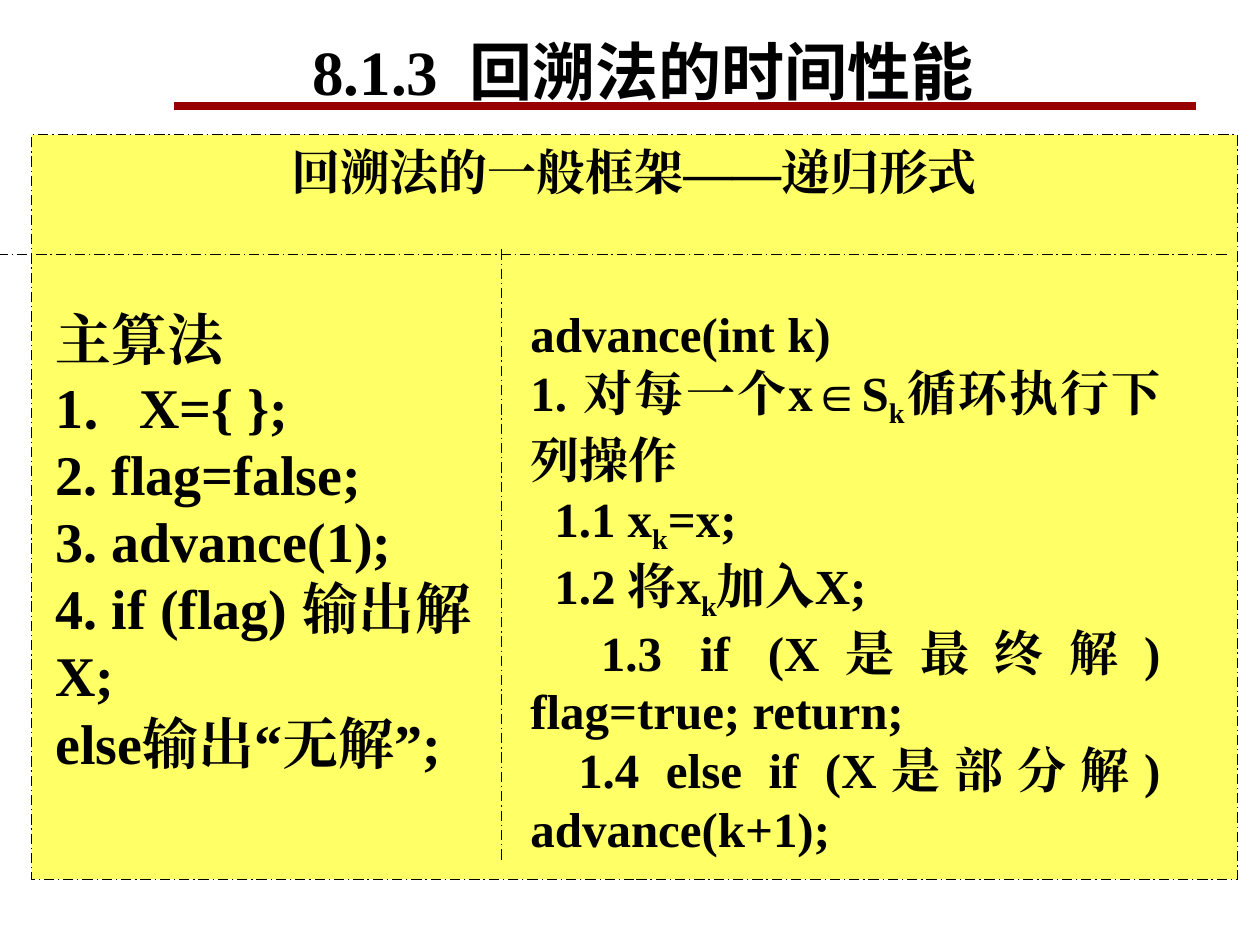
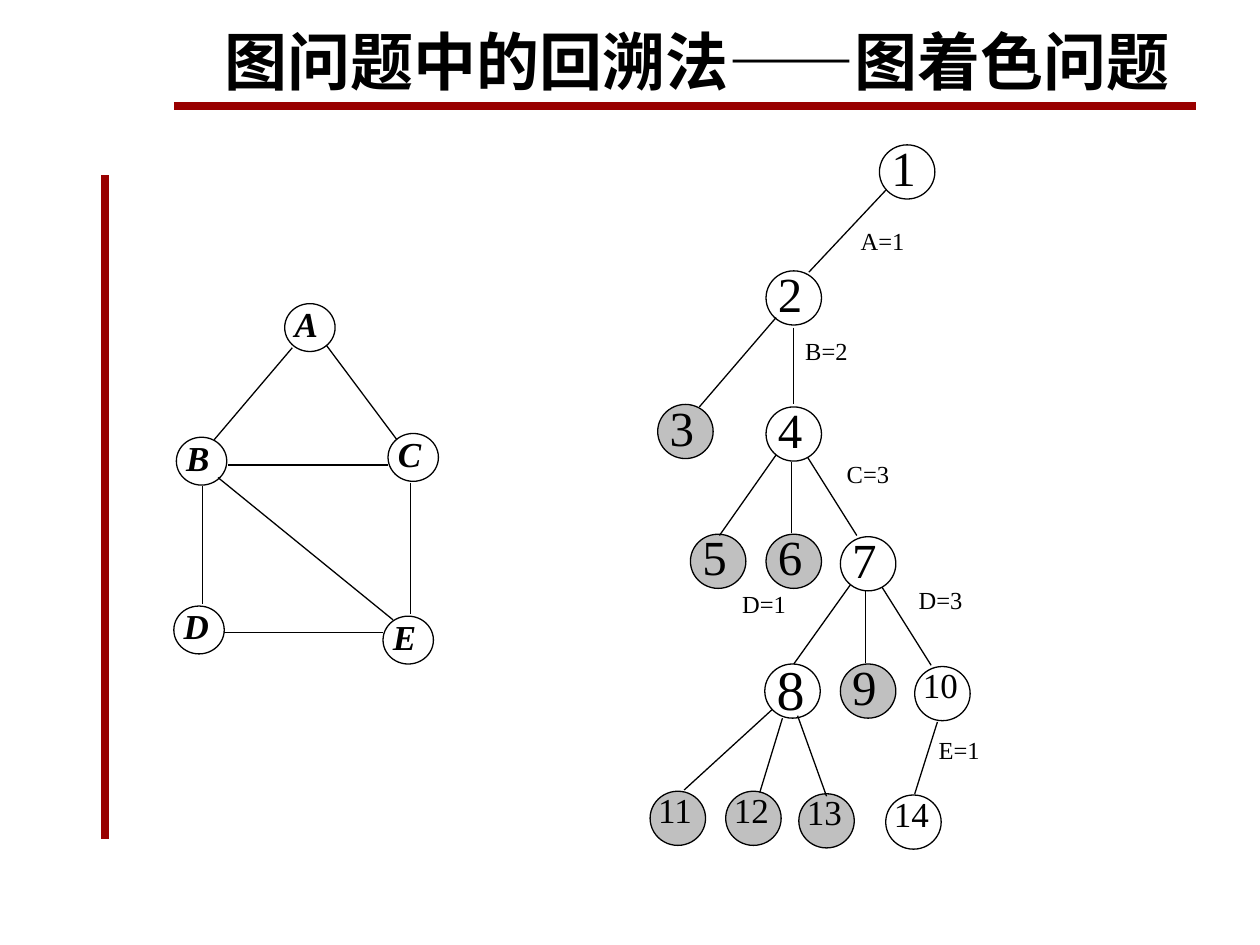
from lxml import etree
from pptx import Presentation
from pptx.dml.color import RGBColor
from pptx.enum.dml import MSO_LINE
from pptx.enum.shapes import MSO_CONNECTOR, MSO_SHAPE
from pptx.enum.text import MSO_ANCHOR, MSO_AUTO_SIZE, PP_ALIGN
from pptx.oxml.ns import qn
from pptx.util import Pt

PX = 9144  # 100 px to the inch

BLACK = RGBColor(0x00, 0x00, 0x00)
WHITE = RGBColor(0xFF, 0xFF, 0xFF)
RED = RGBColor(0x99, 0x00, 0x00)
YELLOW = RGBColor(0xFF, 0xFF, 0x66)
GREY = RGBColor(0xC0, 0xC0, 0xC0)
SERIF, SANS = "Times New Roman", "Noto Sans CJK SC"

# Shared rules: x1, y1, x2, y2
TITLE_RULE = (138, 84, 949, 84)
SIDE_RULE = (83, 139, 83, 666)

# Slide 1: the general framework; "_" puts the next letter in subscript
FRAME_TITLE = [("8.1.3  ", SERIF), ("回溯法的时间性能", SANS)]
FRAME_HEAD = "回溯法的一般框架——递归形式"
FRAME_RULES = [(-2, 202, 974, 202), (398, 198, 398, 685)]
MAIN_STEPS = [  # text, first-line indent
    ("主算法", 0),
    ("1．X={ };", 0),
    ("2. flag=false;", 0),
    ("3. advance(1);", 0),
    ("4. if (flag) 输出解X;", 0),
    ("else输出“无解”;", 0),
]
ADVANCE_STEPS = [
    ("advance(int k)", 0),
    ("1. 对每一个x∈S_k循环执行下列操作", 0),
    ("1.1 x_k=x;", 19),
    ("1.2 将x_k加入X;", 19),
    ("1.3 if (X是最终解) flag=true; return;", 56),
    ("1.4 else if (X是部分解) advance(k+1);", 38),
]

# Slide 2: graph and search tree
COLOUR_TITLE = [("图问题中的回溯法——图着色问题", SANS)]
GRAPH_NODES = {"A": (226, 241), "B": (140, 347), "C": (308, 344),
               "D": (138, 481), "E": (304, 489)}
GRAPH_EDGES = [
    (232, 276, 170, 349), (259, 274, 315, 349), (181, 369, 308, 369),
    (161, 386, 161, 479), (326, 383, 326, 487), (178, 502, 304, 502),
    (173, 379, 312, 492),
]
TREE_NODES = {
    1: (698, 115), 2: (608, 215), 3: (522, 321), 4: (608, 323),
    5: (548, 424), 6: (608, 424), 7: (667, 426), 8: (607, 527),
    9: (667, 527), 10: (726, 529), 11: (516, 628), 12: (576, 628),
    13: (634, 630), 14: (703, 631),
}
DEAD_ENDS = {3, 5, 6, 9, 11, 12, 13}
TREE_EDGES = [
    (703, 151, 642, 216), (616, 252, 555, 323), (630, 260, 630, 321),
    (616, 361, 571, 425), (628, 367, 628, 423), (641, 363, 680, 425),
    (675, 464, 630, 527), (687, 469, 687, 526), (700, 466, 739, 528),
    (613, 563, 543, 627), (621, 570, 603, 629), (633, 568, 656, 632),
    (744, 573, 726, 630),
]
TREE_CHOICES = [("A=1", 683, 184), ("B=2", 639, 271), ("C=3", 672, 369),
                ("D=1", 589, 472), ("D=3", 729, 469), ("E=1", 745, 588)]


def set_face(font, name):
    """Use one typeface for Latin and East Asian text."""
    font.name = name
    etree.SubElement(font._rPr, qn("a:ea"), typeface=name)


def style(p, size, align=PP_ALIGN.JUSTIFY, spacing=None, bold=False,
          italic=False, face=SERIF):
    p.alignment = align
    if spacing:
        p.line_spacing = spacing
    f = p.font
    f.size, f.bold, f.italic = Pt(size), bold, italic
    f.color.rgb = BLACK
    set_face(f, face)


def frame(sp, insets=(0, 0, 0, 0)):
    tf = sp.text_frame
    tf.word_wrap = True
    tf.vertical_anchor = MSO_ANCHOR.TOP
    (tf.margin_left, tf.margin_top,
     tf.margin_right, tf.margin_bottom) = [v * PX for v in insets]
    return tf


def add_box(s, box, insets=(0, 0, 0, 0)):
    return frame(s.shapes.add_textbox(*[v * PX for v in box]), insets)


def add_shape(s, kind, box, fill, insets=(0, 0, 0, 0)):
    sp = s.shapes.add_shape(kind, *[v * PX for v in box])
    sp.shadow.inherit = False
    sp.fill.solid()
    sp.fill.fore_color.rgb = fill
    sp.line.color.rgb = BLACK
    sp.line.width = Pt(0.75)
    return sp, frame(sp, insets)


def add_line(s, ends, color=BLACK, width=0.75, dash=None):
    c = s.shapes.add_connector(MSO_CONNECTOR.STRAIGHT, *[v * PX for v in ends])
    c.line.color.rgb = color
    c.line.width = Pt(width)
    if dash:
        c.line.dash_style = dash
    etree.SubElement(c._element.spPr, qn("a:effectLst"))


def add_slide(prs, rules):
    s = prs.slides.add_slide(prs.slide_layouts[6])
    for ends in rules:
        add_line(s, ends, RED, 4.5)
    return s


def add_title(s, runs, box):
    tf = add_box(s, box, (10, 5, 10, 5))
    tf.auto_size = MSO_AUTO_SIZE.SHAPE_TO_FIT_TEXT
    p = tf.paragraphs[0]
    style(p, 36, PP_ALIGN.CENTER, bold=True, face=runs[0][1])
    p.space_before = Pt(22.5)
    for text, face in runs:
        r = p.add_run()
        r.text = text
        set_face(r.font, face)


def add_steps(s, steps, box, size):
    tf = add_box(s, box)
    for i, (text, indent) in enumerate(steps):
        p = tf.add_paragraph() if i else tf.paragraphs[0]
        style(p, size, bold=True)
        if indent:
            p._p.get_or_add_pPr().set("indent", str(indent * PX))
        first, *rest = text.split("_")
        p.add_run().text = first
        for part in rest:
            sub = p.add_run()
            sub.text = part[0]
            sub._r.get_or_add_rPr().set("baseline", "-25000")
            p.add_run().text = part[1:]


def add_node(s, label, box, fill, inset, size, **look):
    _, tf = add_shape(s, MSO_SHAPE.OVAL, box, fill, (inset, 0, 0, 0))
    p = tf.paragraphs[0]
    p.text = str(label)
    style(p, size, **look)


def build_framework(prs):
    s = add_slide(prs, [TITLE_RULE])
    sp, tf = add_shape(s, MSO_SHAPE.RECTANGLE, (25, 107, 957, 591), YELLOW,
                       (10, 5, 10, 5))
    sp.line.dash_style = MSO_LINE.LONG_DASH_DOT
    p = tf.paragraphs[0]
    p.text = FRAME_HEAD
    style(p, 28, PP_ALIGN.CENTER, bold=True)
    add_steps(s, ADVANCE_STEPS, (421, 241, 500, 426), 28)
    add_steps(s, MAIN_STEPS, (44, 242, 330, 410), 32)
    for ends in FRAME_RULES:
        add_line(s, ends, dash=MSO_LINE.LONG_DASH_DOT)
    add_title(s, FRAME_TITLE, (169, 21, 683, 70))


def build_colouring(prs):
    s = add_slide(prs, [TITLE_RULE, SIDE_RULE])
    # Graph to colour
    for label, (x, y) in GRAPH_NODES.items():
        add_node(s, label, (x, y, 40, 38), WHITE, 2, 20, spacing=0.8,
                 bold=True, italic=True)
    # Search tree, with dead ends in grey
    for n, (x, y) in TREE_NODES.items():
        size = 20 if n > 9 else 32 if n == 8 else 28
        add_node(s, n, (x, y, 44, 43), GREY if n in DEAD_ENDS else WHITE,
                 0 if n > 9 else 3, size, spacing=0.72)
    for ends in GRAPH_EDGES + TREE_EDGES:
        add_line(s, ends)
    for text, x, y in TREE_CHOICES:
        p = add_box(s, (x, y, 62, 36)).paragraphs[0]
        p.text = text
        style(p, 14, spacing=0.8)
    add_title(s, COLOUR_TITLE, (130, 13, 847, 70))


def main():
    prs = Presentation()
    prs.slide_width, prs.slide_height = 1000 * PX, 750 * PX
    build_framework(prs)
    build_colouring(prs)
    prs.save("out.pptx")


if __name__ == "__main__":
    main()
